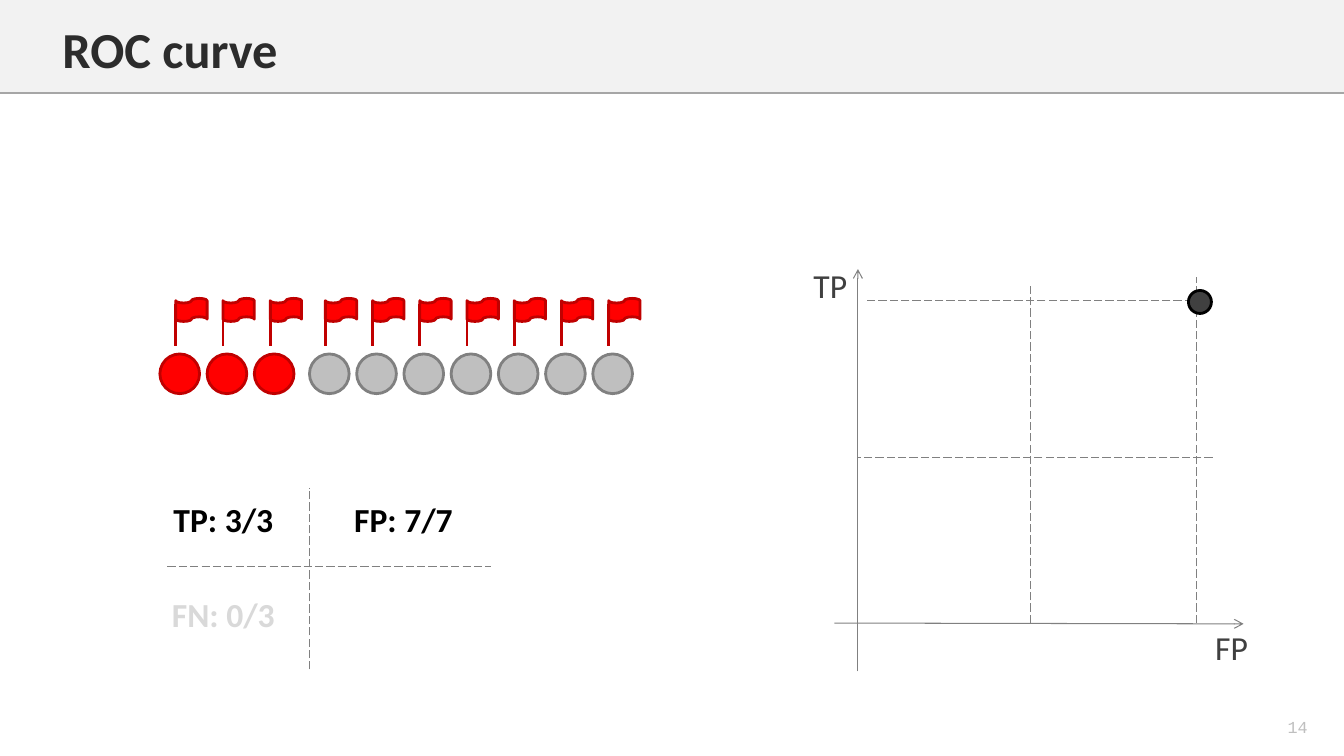
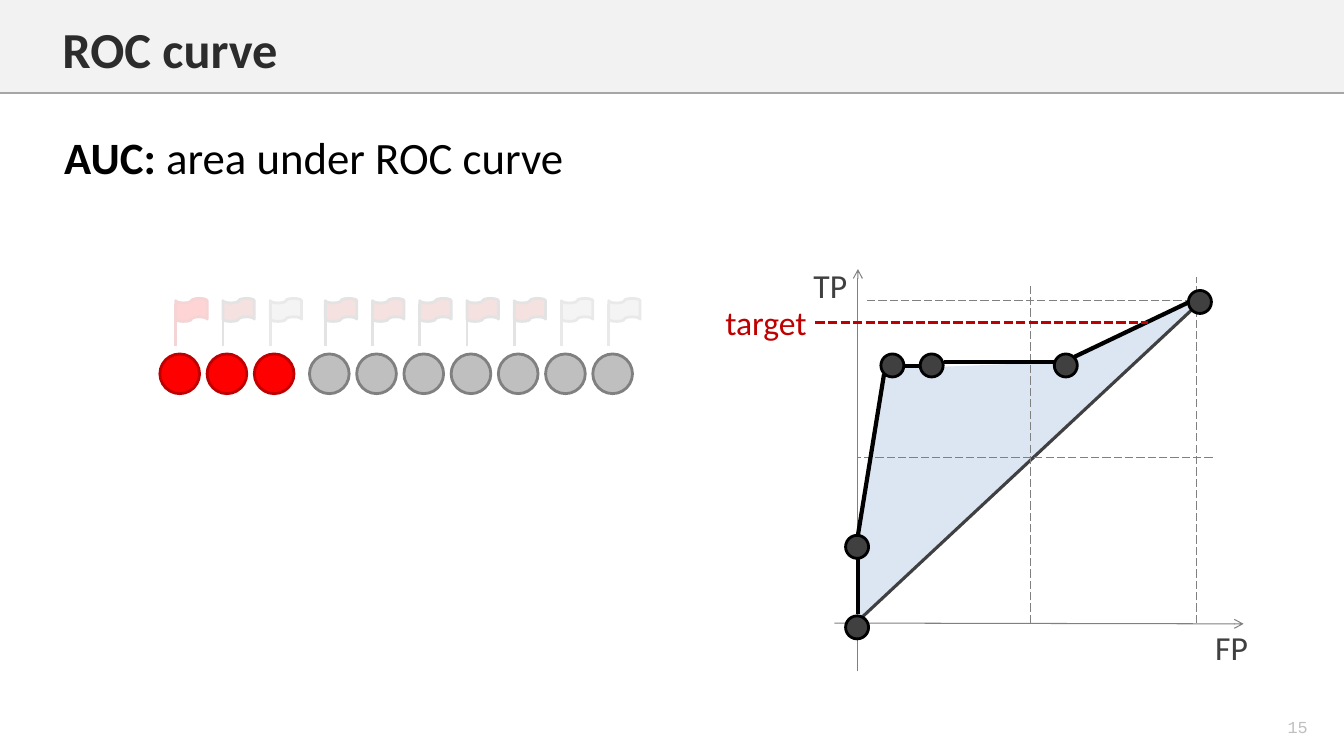
"""Build two slides that explain the ROC curve and the area under it."""
from lxml.etree import SubElement
from pptx import Presentation
from pptx.dml.color import RGBColor
from pptx.enum.dml import MSO_LINE_DASH_STYLE as Dash
from pptx.enum.shapes import MSO_CONNECTOR, MSO_SHAPE as Preset
from pptx.enum.text import MSO_ANCHOR as Anchor, MSO_AUTO_SIZE as AutoSize, PP_ALIGN as Align
from pptx.oxml.ns import qn
from pptx.util import Cm, Pt

BLACK = RGBColor(0x00, 0x00, 0x00)
WHITE = RGBColor(0xFF, 0xFF, 0xFF)
TITLE_INK = RGBColor(0x2C, 0x2C, 0x2C)
CHARCOAL = RGBColor(0x40, 0x40, 0x40)
SLATE = RGBColor(0x59, 0x59, 0x59)
GREY = RGBColor(0x80, 0x80, 0x80)
RULE_GREY = RGBColor(0xA6, 0xA6, 0xA6)
SILVER = RGBColor(0xBF, 0xBF, 0xBF)
PALE = RGBColor(0xD9, 0xD9, 0xD9)
BAND_GREY = RGBColor(0xF2, 0xF2, 0xF2)
RED = RGBColor(0xFF, 0x00, 0x00)
DARK_RED = RGBColor(0xC0, 0x00, 0x00)
BRICK = RGBColor(0xC0, 0x50, 0x4D)
AREA_BLUE = RGBColor(0xDC, 0xE6, 0xF2)

WIDTH, HEIGHT, BAND_HEIGHT = 33.87, 19.05, 2.34
TITLE = "ROC curve"
TITLE_BOX = (1.32, 0.33, 30.2, 1.8)
NUMBER_BOX = (31.6, 17.93, 2.21, 0.79)

POSITIVES, NEGATIVES = 3, 7
POSITIVE_LEFT, NEGATIVE_LEFT, PITCH = 4.03, 7.8, 1.19
BALL_TOP, BALL_SIZE = 8.92, 1.0
FLAG_SHIFT, FLAG_TOP, FLAG_WIDTH, FLAG_HEIGHT = 0.4, 7.52, 0.79, 0.58
MAST_TOP, MAST_BOTTOM = 7.67, 8.71
VEIL_BOX, VEIL_OPACITY = (3.4, 7.14, 13.11, 1.6), 83

RAISED = (RED, DARK_RED)
FADING = (BRICK, SLATE)
LOWERED = (SILVER, GREY)
ALL_RAISED = [RAISED] * (POSITIVES + NEGATIVES)
MIXED = [RAISED, FADING, LOWERED] + [FADING] * 5 + [LOWERED] * 2

MATRIX_RULES = [(7.8, 16.87, 7.8, 12.29), (4.22, 14.27, 12.37, 14.27)]
MATRIX_CELLS = [
    ("TP: 3/3", 3.84, 12.09, BLACK),
    ("FN: 0/3", 3.84, 14.48, PALE),
    ("FP: 7/7", 8.38, 12.09, BLACK),
]
CELL_SIZE = (3.58, 1.98)

AXES = [(21.03, 15.7, 31.34, 15.72), (21.62, 16.92, 21.62, 6.78)]
GRID = [
    (25.98, 15.7, 25.98, 7.16),
    (30.15, 15.7, 30.15, 6.98),
    (30.35, 7.57, 21.82, 7.57),
    (30.56, 11.53, 21.62, 11.53),
]
LABEL_SIZE = (2.59, 0.79)
AXIS_LABELS = [("FP", 29.74, 15.9), ("TP", 19.63, 6.78)]
POINT_SIZE = 0.58
LAST_POINT = (30.24, 7.61)
POINTS = [(21.6, 15.81), (21.6, 13.78), (22.49, 9.21), (23.48, 9.21), (26.86, 9.21), LAST_POINT]
CURVE = [
    (21.62, 15.47, 21.62, 14.07),
    (21.62, 13.49, 22.28, 9.42),
    (22.81, 9.22, 23.22, 9.22),
    (23.8, 9.12, 26.57, 9.12),
    (27.08, 8.99, 29.95, 7.62),
]
DIAGONAL = (21.62, 15.65, 30.02, 7.82)
AREA = [(21.62, 15.65), (21.62, 13.49), (22.28, 9.3), (26.86, 9.12), (29.95, 7.62), (30.02, 7.82)]
AUC_SPANS = [("AUC: ", True), ("area under ROC curve", False)]
AUC_BOX = (1.37, 3.15, 21.59, 1.63)
TARGET_LINE = (20.55, 8.13, 28.93, 8.13)
TARGET_LABEL = ("target", 18.01, 7.72)


def lengths(values):
    return [Cm(value) for value in values]


def paint(shape, fill, line=None, weight=2):
    shape.shadow.inherit = False
    shape.fill.solid()
    shape.fill.fore_color.rgb = fill
    if line is None:
        shape.line.fill.background()
    else:
        shape.line.color.rgb = line
        shape.line.width = Pt(weight)
    return shape


def add_preset(shapes, preset, box, fill, line=None):
    return paint(shapes.add_shape(preset, *lengths(box)), fill, line)


def add_line(shapes, ends, color, weight, dash=None, arrow=False):
    line = shapes.add_connector(MSO_CONNECTOR.STRAIGHT, *lengths(ends))
    line.line.color.rgb = color
    line.line.width = Pt(weight)
    if dash is not None:
        line.line.dash_style = dash
    if arrow:
        SubElement(line.line._get_or_add_ln(), qn("a:tailEnd"), type="arrow")
    SubElement(line.element.spPr, qn("a:effectLst"))
    return line


def add_span(para, text, size, color, bold=False, font="Calibri"):
    span = para.add_run()
    span.text = text
    span.font.name = font
    span.font.size = Pt(size)
    span.font.bold = bold
    span.font.color.rgb = color


def add_label(slide, text, box, color, size=24, bold=False, font="Calibri"):
    frame = slide.shapes.add_textbox(*lengths(box)).text_frame
    frame.word_wrap = True
    frame.vertical_anchor = Anchor.MIDDLE
    frame.margin_left = frame.margin_right = frame.margin_top = frame.margin_bottom = 0
    frame.paragraphs[0].alignment = Align.CENTER
    add_span(frame.paragraphs[0], text, size, color, bold, font)


def move_to_master(deck, shapes):
    tree = deck.slide_master.shapes.element
    for offset, shape in enumerate(shapes):
        shape.element.xpath(".//p:cNvPr")[0].set("id", str(100 + offset))
        tree.insert(2 + offset, shape.element)


def add_band(deck, slide):
    band = add_preset(slide.shapes, Preset.RECTANGLE, (0, 0, WIDTH, BAND_HEIGHT), BAND_GREY)
    rule = add_line(slide.shapes, (0, BAND_HEIGHT, WIDTH, BAND_HEIGHT), RULE_GREY, 1)
    move_to_master(deck, [band, rule])


def add_slide(deck, number):
    slide = deck.slides.add_slide(deck.slide_layouts[5])
    title = slide.shapes.title
    title.left, title.top, title.width, title.height = lengths(TITLE_BOX)
    frame = title.text_frame
    frame.auto_size = AutoSize.NONE
    frame.vertical_anchor = Anchor.MIDDLE
    frame.paragraphs[0].alignment = Align.LEFT
    add_span(frame.paragraphs[0], TITLE, 36, TITLE_INK, True)
    add_label(slide, str(number), NUMBER_BOX, SILVER, 12, font="Courier New")
    return slide


def add_flag(slide, left, fill, line):
    flag = slide.shapes.add_group_shape().shapes
    add_preset(flag, Preset.FLOWCHART_PUNCHED_TAPE,
               (left, FLAG_TOP, FLAG_WIDTH, FLAG_HEIGHT), fill, line)
    add_line(flag, (left, MAST_TOP, left, MAST_BOTTOM), line, 2)


def add_samples(slide, flags):
    lefts = [POSITIVE_LEFT + PITCH * step for step in range(POSITIVES)]
    lefts += [NEGATIVE_LEFT + PITCH * step for step in range(NEGATIVES)]
    for index, (left, flag) in enumerate(zip(lefts, flags)):
        colors = RAISED if index < POSITIVES else LOWERED
        add_preset(slide.shapes, Preset.FLOWCHART_CONNECTOR,
                   (left, BALL_TOP, BALL_SIZE, BALL_SIZE), *colors)
        add_flag(slide, left + FLAG_SHIFT, *flag)


def add_veil(slide):
    veil = add_preset(slide.shapes, Preset.RECTANGLE, VEIL_BOX, WHITE)
    color = veil.element.spPr.find(qn("a:solidFill"))[0]
    SubElement(color, qn("a:alpha"), val=str(VEIL_OPACITY * 1000))


def add_plot(slide):
    for ends in AXES:
        add_line(slide.shapes, ends, GREY, 0.75, arrow=True)
    for ends in GRID:
        add_line(slide.shapes, ends, GREY, 0.75, Dash.LONG_DASH)
    for text, *corner in AXIS_LABELS:
        add_label(slide, text, (*corner, *LABEL_SIZE), CHARCOAL)


def add_points(slide, points):
    for x, y in points:
        box = (x - POINT_SIZE / 2, y - POINT_SIZE / 2, POINT_SIZE, POINT_SIZE)
        add_preset(slide.shapes, Preset.FLOWCHART_CONNECTOR, box, CHARCOAL, BLACK)


def add_area(slide):
    corners = [lengths(corner) for corner in AREA]
    outline = slide.shapes.build_freeform(*corners[0], scale=1.0)
    outline.add_line_segments(corners[1:], close=True)
    paint(outline.convert_to_shape(), AREA_BLUE)


def fill_matrix_slide(slide):
    add_samples(slide, ALL_RAISED)
    for ends in MATRIX_RULES:
        add_line(slide.shapes, ends, GREY, 0.75, Dash.LONG_DASH)
    for text, left, top, color in MATRIX_CELLS:
        add_label(slide, text, (left, top, *CELL_SIZE), color, bold=True)
    add_plot(slide)
    add_points(slide, [LAST_POINT])


def fill_area_slide(slide):
    add_samples(slide, MIXED)
    add_veil(slide)
    add_area(slide)
    add_line(slide.shapes, DIAGONAL, CHARCOAL, 2.25)
    add_plot(slide)
    for ends in CURVE:
        add_line(slide.shapes, ends, BLACK, 3)
    add_points(slide, POINTS)
    frame = slide.shapes.add_textbox(*lengths(AUC_BOX)).text_frame
    frame.word_wrap = True
    for text, bold in AUC_SPANS:
        add_span(frame.paragraphs[0], text, 32, BLACK, bold)
    add_line(slide.shapes, TARGET_LINE, DARK_RED, 2.25, Dash.SQUARE_DOT)
    text, *corner = TARGET_LABEL
    add_label(slide, text, (*corner, *LABEL_SIZE), DARK_RED)


def main():
    deck = Presentation()
    deck.slide_width, deck.slide_height = Cm(WIDTH), Cm(HEIGHT)
    matrix_slide = add_slide(deck, 14)
    add_band(deck, matrix_slide)
    fill_matrix_slide(matrix_slide)
    fill_area_slide(add_slide(deck, 15))
    deck.save("out.pptx")


if __name__ == "__main__":
    main()
